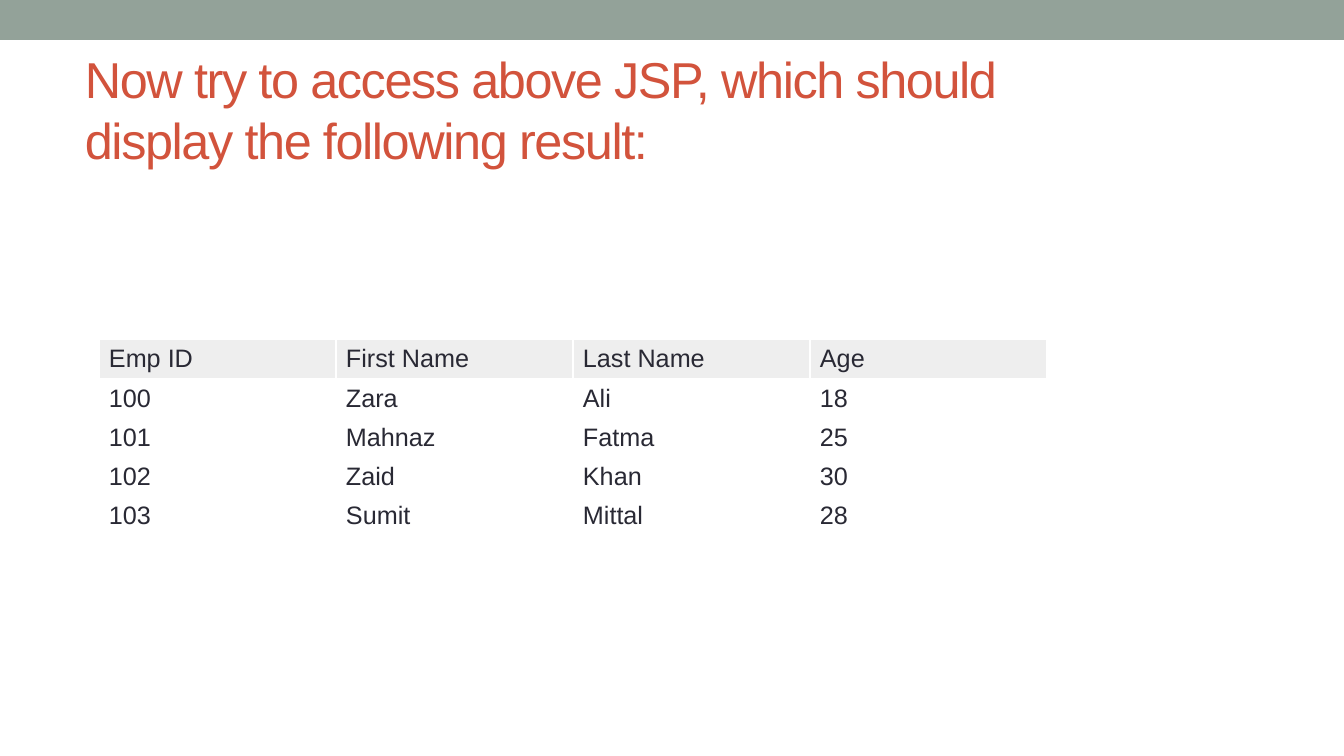
import dataclasses
import pptx
import pptx.util
import pptx.dml.color
import pptx.enum.shapes
import pptx.enum.text

EMU_PER_PIXEL = 914400 / 100.8


@dataclasses.dataclass(frozen=True)
class Theme:
    font: str = "Arial"
    band: str = "93A299"
    title: str = "D2533C"
    text: str = "292934"
    header: str = "EEEEEE"
    title_size: int = 36
    table_size: int = 18
    title_tracking: int = -100


THEME = Theme()
TITLE = "Now try to access above JSP, which should display the following result:"
EMPLOYEES = [
    ("Emp ID", "First Name", "Last Name", "Age"),
    ("100", "Zara", "Ali", "18"),
    ("101", "Mahnaz", "Fatma", "25"),
    ("102", "Zaid", "Khan", "30"),
    ("103", "Sumit", "Mittal", "28"),
]


def px(length):
    return pptx.util.Emu(round(length * EMU_PER_PIXEL))


def color(value):
    return pptx.dml.color.RGBColor.from_string(value)


def apply_format(target, values):
    for name, value in values.items():
        setattr(target, name, value)


def write_text(frame, text, size, ink):
    span = frame.paragraphs[0].add_run()
    span.text = text
    apply_format(span.font, {"name": THEME.font, "size": pptx.util.Pt(size)})
    span.font.color.rgb = color(ink)
    return span


def add_band(page, box):
    band = page.shapes.add_shape(
        pptx.enum.shapes.MSO_SHAPE.RECTANGLE, *map(px, box))
    band.shadow.inherit = False
    band.fill.solid()
    band.fill.fore_color.rgb = color(THEME.band)
    band.line.fill.background()


def add_title(page, box):
    frame = page.shapes.add_textbox(*map(px, box)).text_frame
    apply_format(frame, {
        "word_wrap": True,
        "vertical_anchor": pptx.enum.text.MSO_ANCHOR.MIDDLE,
    })
    span = write_text(frame, TITLE, THEME.title_size, THEME.title)
    span.font._element.set("spc", str(THEME.title_tracking))


def add_employee_table(page, box):
    left, top, width, height = box
    shape = page.shapes.add_table(
        len(EMPLOYEES), len(EMPLOYEES[0]), *map(px, box))
    table = shape.table
    apply_format(table, {"first_row": False, "horz_banding": False})
    for column in table.columns:
        column.width = px(width / len(EMPLOYEES[0]))
    for row in table.rows:
        row.height = px(height / len(EMPLOYEES))
    cell_format = {
        "margin_left": px(10),
        "margin_right": px(10),
        "margin_top": px(5),
        "margin_bottom": px(4),
        "vertical_anchor": pptx.enum.text.MSO_ANCHOR.MIDDLE,
    }
    for row_index, employee in enumerate(EMPLOYEES):
        for column_index, value in enumerate(employee):
            cell = table.cell(row_index, column_index)
            apply_format(cell, cell_format)
            if row_index == 0:
                cell.fill.solid()
                cell.fill.fore_color.rgb = color(THEME.header)
            else:
                cell.fill.background()
            write_text(cell.text_frame, value, THEME.table_size, THEME.text)


def build_result_slide(deck, box):
    left, top, width, height = box
    page = deck.slides.add_slide(deck.slide_layouts[6])
    add_band(page, (left, top, width, 40))
    add_title(page, (left + 75, top + 68, 948, 82))
    add_employee_table(page, (left + 99, top + 339, 948, 192))


deck = pptx.Presentation()
apply_format(deck, {"slide_width": px(1344), "slide_height": px(756)})
build_result_slide(deck, (0, 0, 1344, 756))
deck.save("out.pptx")
